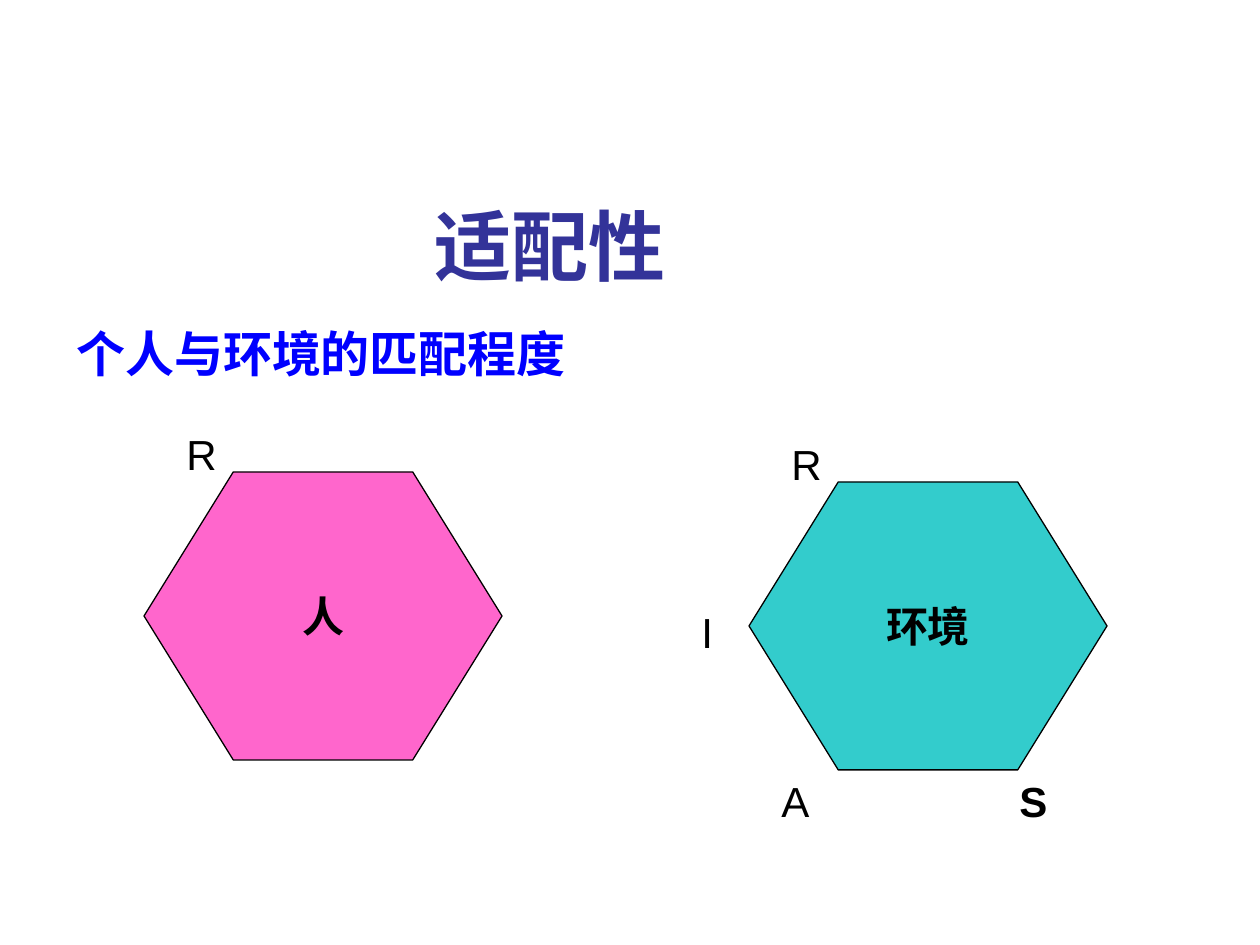
import pptx
import pptx.util
import pptx.dml.color
import pptx.enum.shapes
import pptx.enum.text

SHAPE = pptx.enum.shapes.MSO_SHAPE
ALIGN = pptx.enum.text.PP_ALIGN
ANCHOR = pptx.enum.text.MSO_ANCHOR
FIT = pptx.enum.text.MSO_AUTO_SIZE

THEME = {
    "font": "Arial", "ink": "000000", "title": "333399", "lead": "0000FF",
    "big": 44, "mid": 28, "small": 24, "line": 0.75,
}
HEADS = [
    ("适配性", (422, 214, 330, 77), THEME["big"], THEME["title"], ALIGN.LEFT, ANCHOR.BOTTOM),
    ("个人与环境的匹配程度", (64, 324, 1134, 73), THEME["mid"], THEME["lead"], ALIGN.JUSTIFY, ANCHOR.TOP),
]
HEXES = [
    ("人", (144, 472), "FF66CC", "R"),
    ("环境", (749, 482), "33CCCC", "RIAS"),
]
SPOTS = {"R": (30, -49), "I": (-60, 119), "A": (20, 288), "S": (258, 288)}
HEX = (358, 288)
LABEL = (79, 63)
BOLD = "S"
SCALE = 914400 // 126


def px(*nums):
    return [pptx.util.Emu(n * SCALE) for n in nums]


def rgb(code):
    return pptx.dml.color.RGBColor.from_string(code)


def write(shape, text, size=THEME["small"], color=THEME["ink"], bold=True,
          align=ALIGN.LEFT, anchor=ANCHOR.TOP, wrap=True, pad=6, fit=FIT.NONE):
    frame = shape.text_frame
    frame.auto_size = fit
    frame.word_wrap = wrap
    frame.vertical_anchor = anchor
    frame.margin_top, frame.margin_bottom = px(pad, pad)
    para = frame.paragraphs[0]
    para.alignment = align
    run = para.add_run()
    run.text = text
    run.font.name = THEME["font"]
    run.font.size = pptx.util.Pt(size)
    run.font.bold = bold
    run.font.color.rgb = rgb(color)


def main():
    deck = pptx.Presentation()
    deck.slide_width, deck.slide_height = px(1260, 945)
    shapes = deck.slides.add_slide(deck.slide_layouts[6]).shapes

    for text, area, size, color, align, anchor in HEADS:
        write(shapes.add_textbox(*px(*area)), text, size=size, color=color,
              align=align, anchor=anchor, pad=0)

    for text, (left, top), fill, marks in HEXES:
        hexa = shapes.add_shape(SHAPE.HEXAGON, *px(left, top, *HEX))
        hexa.adjustments[0] = 0.31
        hexa.shadow.inherit = False
        hexa.fill.solid()
        hexa.fill.fore_color.rgb = rgb(fill)
        hexa.line.color.rgb = rgb(THEME["ink"])
        hexa.line.width = pptx.util.Pt(THEME["line"])
        write(hexa, text, align=ALIGN.CENTER, anchor=ANCHOR.MIDDLE, wrap=False)
        for mark in marks:
            dx, dy = SPOTS[mark]
            label = shapes.add_textbox(*px(left + dx, top + dy, *LABEL))
            write(label, mark, bold=mark in BOLD, fit=FIT.SHAPE_TO_FIT_TEXT)

    deck.save("out.pptx")


if __name__ == "__main__":
    main()
